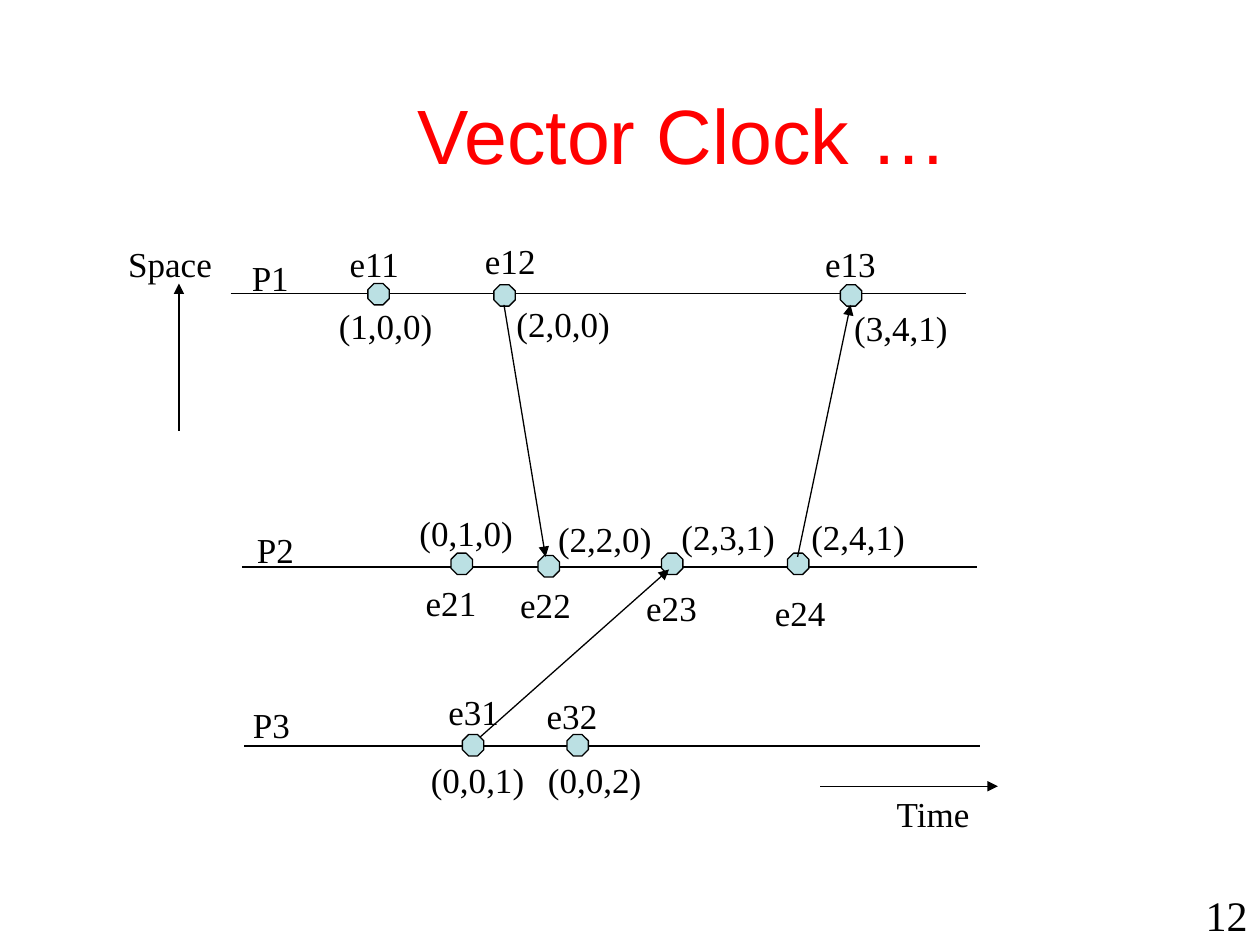
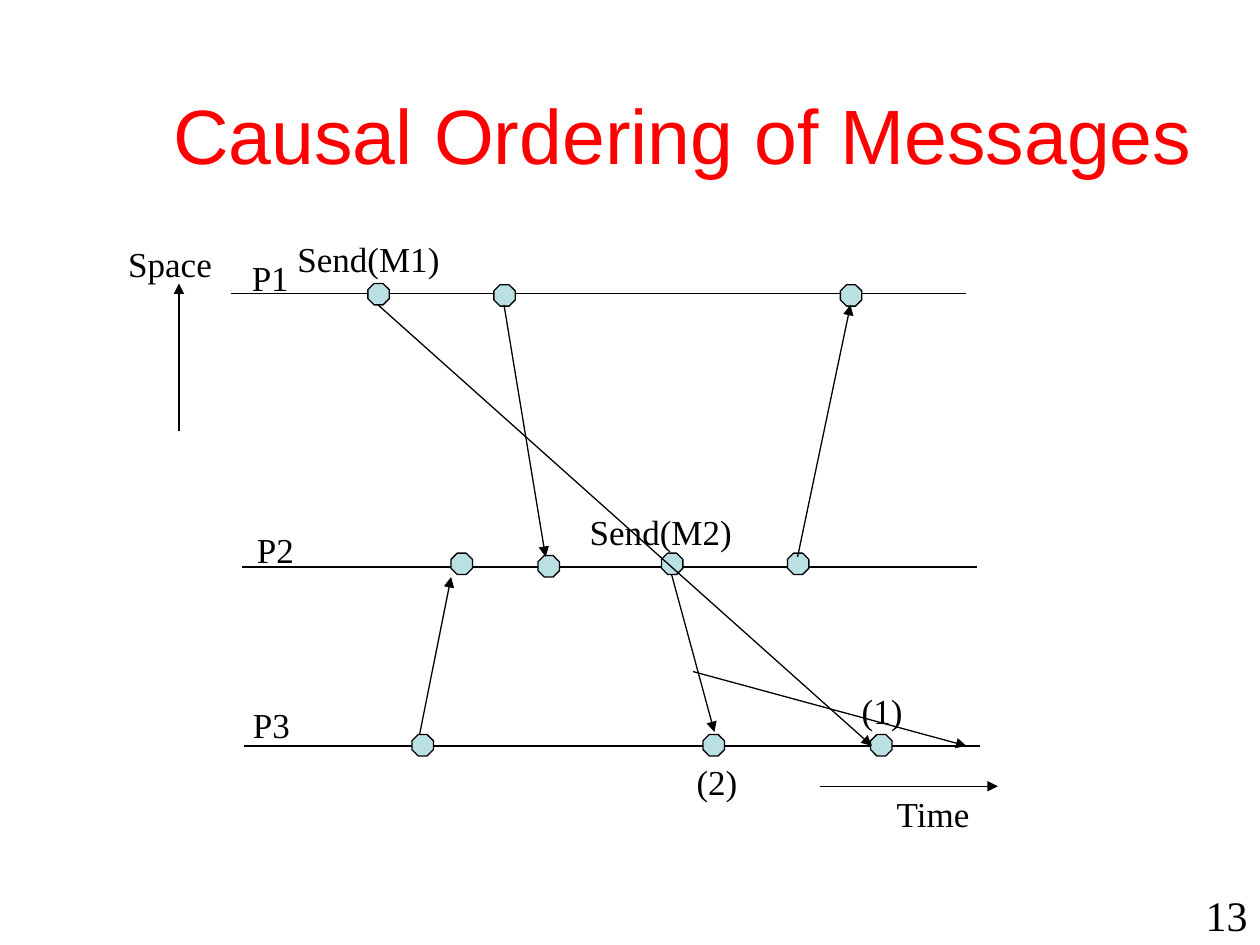
from lxml import etree
from pptx import Presentation
from pptx.dml.color import RGBColor
from pptx.enum import shapes, text
from pptx.oxml import ns
from pptx.util import Inches, Pt

COLOURS = {"title": "FF0000", "ink": "000000", "event": "BBE0E3"}
TITLE_FONT, BODY_FONT = "Arial", "Times New Roman"
EVENT_SIZE, LABEL_HEIGHT, LABEL_MARGIN = 0.17, 0.44, 0.05
PROCESS_WIDTH, NAME_WIDTH, VECTOR_WIDTH = 0.49, 0.6, 0.94
ORDER_WIDTH, SEND_WIDTH = 0.52, 1.33

# Time lines as (start, end), both at the same height
PROCESS_LINES = [((1.83, 2.33), (7.67, 2.33)),
                 ((1.92, 4.5), (7.75, 4.5)),
                 ((1.94, 5.92), (7.78, 5.92))]
PROCESS_NAMES = [("P1", 1.9, 1.98), ("P2", 1.94, 4.14), ("P3", 1.91, 5.53)]
AXES = [((6.51, 6.24), (7.92, 6.24)), ((1.42, 3.42), (1.42, 2.25))]
P3_EVENT_TOP = 5.83
SHARED_EVENTS = [(2.92, 2.25), (3.92, 2.26), (6.67, 2.26),
                 (3.58, 4.39), (4.27, 4.41), (5.25, 4.39), (6.25, 4.39)]
SHARED_MESSAGES = [((4, 2.42), (4.33, 4.42)), ((6.33, 4.42), (6.75, 2.42))]

CLOCK_LABELS = {
    NAME_WIDTH: [
        ("e11", 2.67, 1.87), ("e12", 3.75, 1.85), ("e13", 6.45, 1.87),
        ("e21", 3.28, 4.56), ("e22", 4.03, 4.58), ("e23", 5.03, 4.6),
        ("e24", 6.05, 4.64), ("e31", 3.46, 5.43), ("e32", 4.24, 5.46)],
    VECTOR_WIDTH: [
        ("(1,0,0)", 2.59, 2.36), ("(2,0,0)", 4, 2.35), ("(3,4,1)", 6.68, 2.38),
        ("(0,1,0)", 3.23, 4.01), ("(2,2,0)", 4.33, 4.05),
        ("(2,3,1)", 5.31, 4.04), ("(2,4,1)", 6.34, 4.04),
        ("(0,0,1)", 3.32, 5.97), ("(0,0,2)", 4.25, 5.97)],
}
ORDERING_LABELS = {
    ORDER_WIDTH: [("(2)", 5.43, 5.98), ("(1)", 6.74, 5.42)],
    SEND_WIDTH: [("Send(M1)", 2.26, 1.83), ("Send(M2)", 4.58, 4)],
}


def colour(name):
    return RGBColor.from_string(COLOURS[name])


class DiagramDeck:
    """Holds the presentation, its style and the current slide."""

    def __init__(self):
        self.presentation = Presentation()
        self.presentation.slide_width = Inches(10)
        self.presentation.slide_height = Inches(7.5)
        self.slide = None

    def format_text(self, shape, size, font, ink, alignment, anchor):
        frame = shape.text_frame
        frame.vertical_anchor = anchor
        paragraph = frame.paragraphs[0]
        paragraph.alignment = alignment
        for run in paragraph.runs:
            run.font.size = Pt(size)
            run.font.name = font
            run.font.color.rgb = colour(ink)

    def new_slide(self, title, number):
        layout = self.presentation.slide_layouts.get_by_name("Title Only")
        self.slide = self.presentation.slides.add_slide(layout)
        shape = self.slide.shapes.title
        shape.left, shape.top = Inches(1.17), Inches(0.23)
        shape.width, shape.height = Inches(8.5), Inches(1.25)
        shape.text_frame.text = title
        shape.text_frame.auto_size = text.MSO_AUTO_SIZE.NONE
        self.format_text(shape, 44, TITLE_FONT, "title",
                         text.PP_ALIGN.CENTER, text.MSO_ANCHOR.BOTTOM)
        self.number(number)

    def number(self, number):
        shape = self.slide.shapes.add_textbox(
            Inches(9), Inches(7.01), Inches(1), Inches(0.5))
        shape.text_frame.text = str(number)
        shape.text_frame.word_wrap = True
        self.format_text(shape, 24, BODY_FONT, "ink",
                         text.PP_ALIGN.RIGHT, text.MSO_ANCHOR.BOTTOM)

    def label(self, wording, left, top, width):
        shape = self.slide.shapes.add_textbox(
            Inches(left), Inches(top), Inches(width), Inches(LABEL_HEIGHT))
        frame = shape.text_frame
        frame.text = wording
        frame.word_wrap = False
        frame.auto_size = text.MSO_AUTO_SIZE.NONE
        frame.margin_left = frame.margin_right = Inches(LABEL_MARGIN)
        self.format_text(shape, 20, BODY_FONT, "ink",
                         text.PP_ALIGN.CENTER, text.MSO_ANCHOR.MIDDLE)

    def event(self, left, top):
        shape = self.slide.shapes.add_shape(
            shapes.MSO_SHAPE.OCTAGON, Inches(left), Inches(top),
            Inches(EVENT_SIZE), Inches(EVENT_SIZE))
        shape.adjustments[0] = 0.293
        shape.shadow.inherit = False
        shape.fill.solid()
        shape.fill.fore_color.rgb = colour("event")
        shape.line.color.rgb = colour("ink")
        shape.line.width = Pt(0.75)

    def line(self, start, end, arrow=False):
        connector = self.slide.shapes.add_connector(
            shapes.MSO_CONNECTOR.STRAIGHT,
            *(Inches(length) for length in (*start, *end)))
        connector.line.color.rgb = colour("ink")
        connector.line.width = Pt(0.75)
        if arrow:
            outline = connector._element.spPr.find(ns.qn("a:ln"))
            etree.SubElement(outline, ns.qn("a:tailEnd"), type="triangle")
        etree.SubElement(connector._element.spPr, ns.qn("a:effectLst"))

    def space_time_diagram(self, p3_events, messages, labels):
        """Draw the three processes with their events, messages and labels."""
        for start, end in PROCESS_LINES:
            self.line(start, end)
        p3_positions = [(left, P3_EVENT_TOP) for left in p3_events]
        for left, top in SHARED_EVENTS + p3_positions:
            self.event(left, top)
        self.label("Time", 7.01, 6.24, 0.79)
        self.label("Space", 0.92, 1.87, 0.86)
        for width, group in {PROCESS_WIDTH: PROCESS_NAMES, **labels}.items():
            for wording, left, top in group:
                self.label(wording, left, top, width)
        for start, end in AXES + SHARED_MESSAGES + messages:
            self.line(start, end, arrow=True)


def main():
    deck = DiagramDeck()

    deck.new_slide("Vector Clock …", 12)
    deck.space_time_diagram(
        p3_events=[3.67, 4.5],
        messages=[((3.81, 5.85), (5.31, 4.52))],
        labels=CLOCK_LABELS)

    deck.new_slide("Causal Ordering of Messages", 13)
    deck.space_time_diagram(
        p3_events=[3.27, 5.58, 6.91],
        messages=[((3, 2.42), (6.92, 5.92)), ((5.33, 4.56), (5.67, 5.81)),
                  ((5.5, 5.33), (7.67, 5.92)), ((3.33, 5.83), (3.58, 4.58))],
        labels=ORDERING_LABELS)

    deck.presentation.save("out.pptx")


if __name__ == "__main__":
    main()
